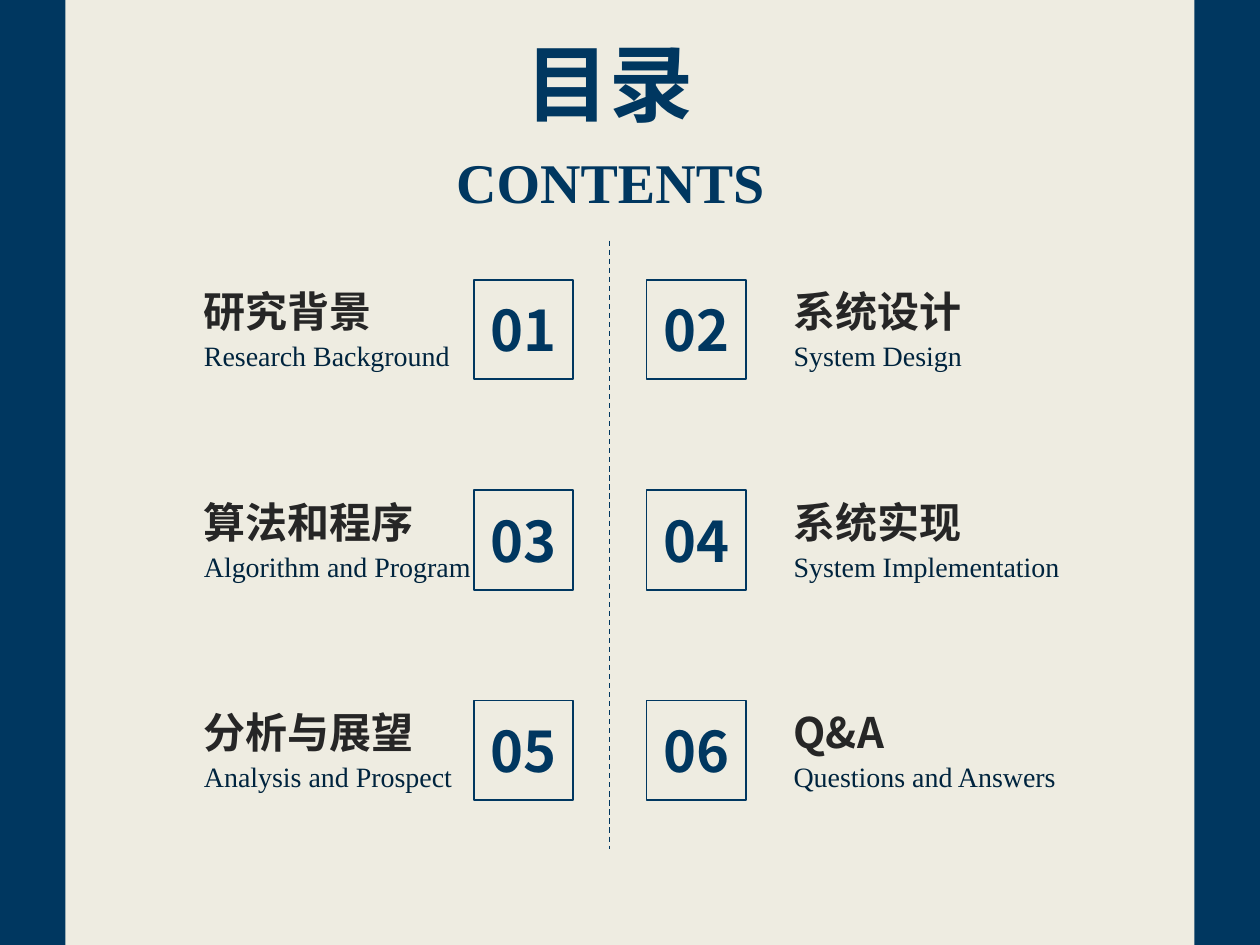
"""Build a contents slide with six numbered topics in two columns."""
from lxml import etree
from pptx import Presentation
from pptx.dml.color import RGBColor
from pptx.enum.dml import MSO_LINE
from pptx.enum.shapes import MSO_CONNECTOR, MSO_SHAPE
from pptx.enum.text import MSO_ANCHOR, MSO_AUTO_SIZE, PP_ALIGN
from pptx.oxml.ns import qn
from pptx.util import Inches, Pt

RECT, LINE, DASH = MSO_SHAPE.RECTANGLE, MSO_CONNECTOR.STRAIGHT, MSO_LINE.DASH
TOP, MIDDLE = MSO_ANCHOR.TOP, MSO_ANCHOR.MIDDLE
LEFT, CENTER, NO_FIT = PP_ALIGN.LEFT, PP_ALIGN.CENTER, MSO_AUTO_SIZE.NONE

TITLE, SUBTITLE = "目录", "CONTENTS"
TOPICS = [
    ("研究背景", "Research Background"),
    ("系统设计", "System Design"),
    ("算法和程序", "Algorithm and Program"),
    ("系统实现", "System Implementation"),
    ("分析与展望", "Analysis and Prospect"),
    ("Q&A", "Questions and Answers"),
]

SANS, SERIF = "Noto Sans CJK SC", "Times New Roman"
NAVY = "003760"
THEME = {
    "paper": "EEECE1",
    "navy": NAVY,
    "title": (SANS, 48, NAVY, True),
    "subtitle": (SERIF, 32, NAVY, True),
    "number": (SANS, 32, NAVY, True),
    "topic": (SANS, 24, "262626", True),
    "gloss": (SERIF, 16, "00243E", False),
}

WIDTH, HEIGHT, BAR = 10, 7.5, 0.52
COLUMNS = [(1.52, 3.76), (6.2, 5.13)]
FIRST, PITCH, BOX = 2.22, 1.67, 0.79
TEXT_W, GLOSS_DY = 2.62, 0.42


def color(key):
    return RGBColor.from_string(THEME[key])


def write(shape, text, style, align=LEFT, anchor=TOP):
    name, size, ink, bold = THEME[style]
    frame = shape.text_frame
    frame.word_wrap = True
    frame.auto_size = NO_FIT
    frame.vertical_anchor = anchor
    frame.text = text
    para = frame.paragraphs[0]
    para.alignment = align
    font = para.font
    font.name, font.size, font.bold = name, Pt(size), bold
    font.color.rgb = RGBColor.from_string(ink)
    props = para._p.pPr.find(qn("a:defRPr"))
    etree.SubElement(props, qn("a:ea")).set("typeface", name)


def label(slide, area, text, style, align=LEFT):
    box = slide.shapes.add_textbox(*map(Inches, area))
    write(box, text, style, align)


def block(slide, area):
    shape = slide.shapes.add_shape(RECT, *map(Inches, area))
    shape.shadow.inherit = False
    return shape


def bar(slide, left):
    shape = block(slide, (left, 0, BAR, HEIGHT))
    shape.fill.solid()
    shape.fill.fore_color.rgb = color("navy")
    shape.line.fill.background()


def number(slide, left, top, text):
    shape = block(slide, (left, top, BOX, BOX))
    shape.fill.background()
    shape.line.color.rgb = color("navy")
    shape.line.width = Pt(1)
    write(shape, text, "number", CENTER, MIDDLE)


def divider(slide):
    ends = map(Inches, (4.84, 1.91, 4.84, 6.74))
    line = slide.shapes.add_connector(LINE, *ends)
    line.line.color.rgb = color("navy")
    line.line.width = Pt(0.75)
    line.line.dash_style = DASH
    etree.SubElement(line._element.spPr, qn("a:effectLst"))


def main():
    deck = Presentation()
    deck.slide_width, deck.slide_height = Inches(WIDTH), Inches(HEIGHT)
    slide = deck.slides.add_slide(deck.slide_layouts[5])
    slide.background.fill.solid()
    slide.background.fill.fore_color.rgb = color("paper")

    for left in (0, WIDTH - BAR):
        bar(slide, left)
    title = slide.shapes.title
    title.left, title.top = Inches(3.57), Inches(0.2)
    title.width, title.height = Inches(2.54), Inches(0.91)
    write(title, TITLE, "title", CENTER)
    label(slide, (3.08, 1.12, 3.53, 0.64), SUBTITLE, "subtitle", CENTER)
    divider(slide)

    for i, (topic, gloss) in enumerate(TOPICS):
        row, col = divmod(i, len(COLUMNS))
        left, box = COLUMNS[col]
        top = FIRST + row * PITCH
        label(slide, (left, top, TEXT_W, 0.5), topic, "topic")
        label(slide, (left, top + GLOSS_DY, TEXT_W, 0.37), gloss, "gloss")
        number(slide, box, top, f"{i + 1:02}")

    deck.save("out.pptx")


if __name__ == "__main__":
    main()
